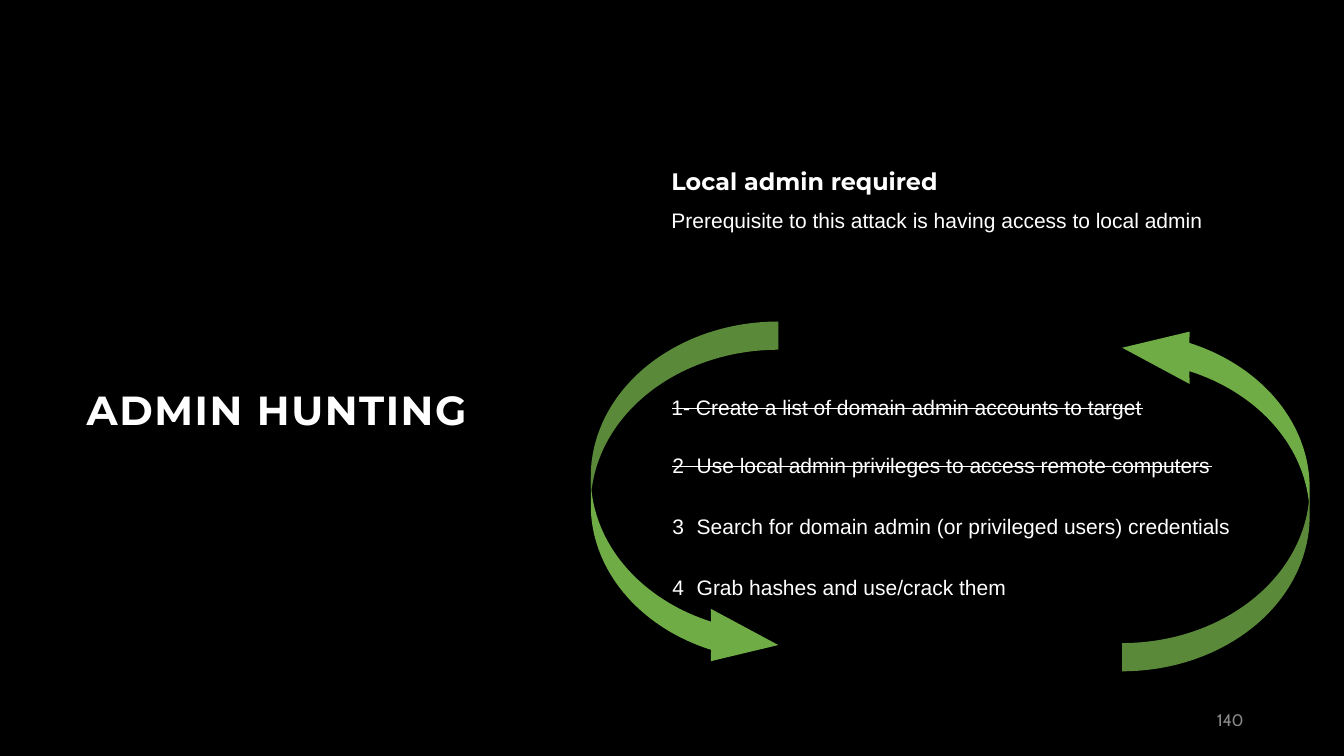
from dataclasses import dataclass
from math import cos, radians, sin

from lxml.etree import SubElement
from pptx import Presentation
from pptx.dml.color import RGBColor
from pptx.enum.shapes import MSO_CONNECTOR as Connector
from pptx.oxml.ns import qn
from pptx.slide import Slide
from pptx.util import Emu, Pt

PX = 9144
WHITE, BLACK, GRAY = "FFFFFF", "000000", "888888"
LIGHT_GREEN, DARK_GREEN = "6FAC46", "5A8A39"

ARC_X, ARC_RADIUS_X, ARC_RADIUS_Y = 772, 186, 154
UPPER_ARC_Y, LOWER_ARC_Y = 473, 501
CYCLE_WIDTH, CYCLE_HEIGHT = 1885, 985
HEAD_ANGLE, CROSSING_ANGLE = 69, 5
ARROW_HEAD = [(705, 656), (772, 640), (705, 604)]

Points = list[tuple[float, float]]


@dataclass
class TextItem:
    lines: list[str]
    left: int
    top: int
    width: int
    height: int
    size: float = 15
    font: str = "Arial"
    color: str = WHITE
    bold: bool = False
    spacing: int = 0
    inset_left: int = 1
    inset_top: int = 3
    line_height: float | None = None
    first_number: int | None = None
    gap: float = 0


@dataclass
class StrikeLine:
    left: int
    right: int
    y: int


TEXTS = [
    TextItem(["ADMIN HUNTING"], 85, 379, 403, 51, size=29, font="Montserrat", bold=True, spacing=110),
    TextItem(["1- Create a list of domain admin accounts to target"], 665, 388, 475, 28),
    TextItem(
        [
            "Use local admin privileges to access remote computers",
            "Search for domain admin (or privileged users) credentials",
            "Grab hashes and use/crack them",
        ],
        665, 446, 558, 144, first_number=2, gap=25.5,
    ),
    TextItem(["Local admin required"], 665, 162, 276, 31, size=17, font="Montserrat", bold=True),
    TextItem(["Prerequisite to this attack is having access to local admin"], 665, 203, 535, 28),
    TextItem(["140"], 599, 689, 659, 38, size=12, font="Cabin", color=GRAY, spacing=-20,
             inset_left=608, inset_top=18, line_height=12.4),
]
STRIKES = [StrikeLine(667, 1134, 405), StrikeLine(667, 1202, 463)]


def px(length: float) -> Emu:
    """Turn px into EMU."""
    return Emu(round(length * PX))


def rgb(color: str) -> RGBColor:
    """Turn a hex string into a colour."""
    return RGBColor.from_string(color)


def add_text(slide: Slide, item: TextItem) -> None:
    """Draw a text item, numbered if it has a first number."""
    shape = slide.shapes.add_textbox(px(item.left), px(item.top), px(item.width), px(item.height))
    text_frame = shape.text_frame
    text_frame.word_wrap = True
    text_frame.margin_left, text_frame.margin_top = px(item.inset_left), px(item.inset_top)
    text_frame.margin_right = text_frame.margin_bottom = 0
    text_frame.text = "\n".join(item.lines)
    for index, paragraph in enumerate(text_frame.paragraphs):
        if item.line_height:
            paragraph.line_spacing = Pt(item.line_height)
        if index:
            paragraph.space_before = Pt(item.gap)
        if item.first_number:
            properties = paragraph._p.get_or_add_pPr()
            properties.set("marL", str(px(25)))
            properties.set("indent", str(px(-24)))
            SubElement(properties, qn("a:buAutoNum"), type="arabicPlain", startAt=str(item.first_number))
        for run in paragraph.runs:
            run.font.name, run.font.size, run.font.bold = item.font, Pt(item.size), item.bold
            run.font.color.rgb = rgb(item.color)
            if item.spacing:
                run._r.get_or_add_rPr().set("spc", str(item.spacing))


def add_strike(slide: Slide, strike: StrikeLine) -> None:
    """Draw a line through a finished step."""
    line = slide.shapes.add_connector(
        Connector.STRAIGHT, px(strike.left), px(strike.y), px(strike.right), px(strike.y)
    )
    line.line.color.rgb = rgb(WHITE)
    line.line.width = Pt(0.75)
    SubElement(line._element.spPr, qn("a:effectLst"))


def arc(center_y: int, start: int, end: int) -> Points:
    """Trace the left half of an ellipse between two angles in degrees."""
    step = 1 if end > start else -1
    return [
        (ARC_X - ARC_RADIUS_X * cos(radians(angle)), center_y + ARC_RADIUS_Y * sin(radians(angle)))
        for angle in range(start, end + step, step)
    ]


def half_turn(points: Points) -> Points:
    """Rotate points by 180 degrees about the middle of the cycle."""
    return [(CYCLE_WIDTH - x, CYCLE_HEIGHT - y) for x, y in points]


def add_outline(slide: Slide, points: Points, color: str) -> None:
    """Draw a closed, filled outline."""
    start, *rest = [(px(x), px(y)) for x, y in points]
    builder = slide.shapes.build_freeform(*start)
    builder.add_line_segments(rest, close=True)
    shape = builder.convert_to_shape()
    shape.shadow.inherit = False
    shape.fill.solid()
    shape.fill.fore_color.rgb = rgb(color)
    shape.line.fill.background()


def add_cycle(slide: Slide) -> None:
    """Draw the two curved arrows around the steps."""
    front = arc(LOWER_ARC_Y, 0, HEAD_ANGLE) + ARROW_HEAD + arc(UPPER_ARC_Y, HEAD_ANGLE, 0)
    back = arc(UPPER_ARC_Y, -90, CROSSING_ANGLE) + arc(LOWER_ARC_Y, -CROSSING_ANGLE, -90)
    for points, color in ((front, LIGHT_GREEN), (back, DARK_GREEN)):
        add_outline(slide, points, color)
        add_outline(slide, half_turn(points), color)


def main() -> None:
    """Build and save the slide."""
    presentation = Presentation()
    presentation.slide_width, presentation.slide_height = px(1333), px(750)
    slide = presentation.slides.add_slide(presentation.slide_layouts[6])
    slide.background.fill.solid()
    slide.background.fill.fore_color.rgb = rgb(BLACK)
    for strike in STRIKES:
        add_strike(slide, strike)
    add_cycle(slide)
    for item in TEXTS:
        add_text(slide, item)
    presentation.save("out.pptx")


if __name__ == "__main__":
    main()
